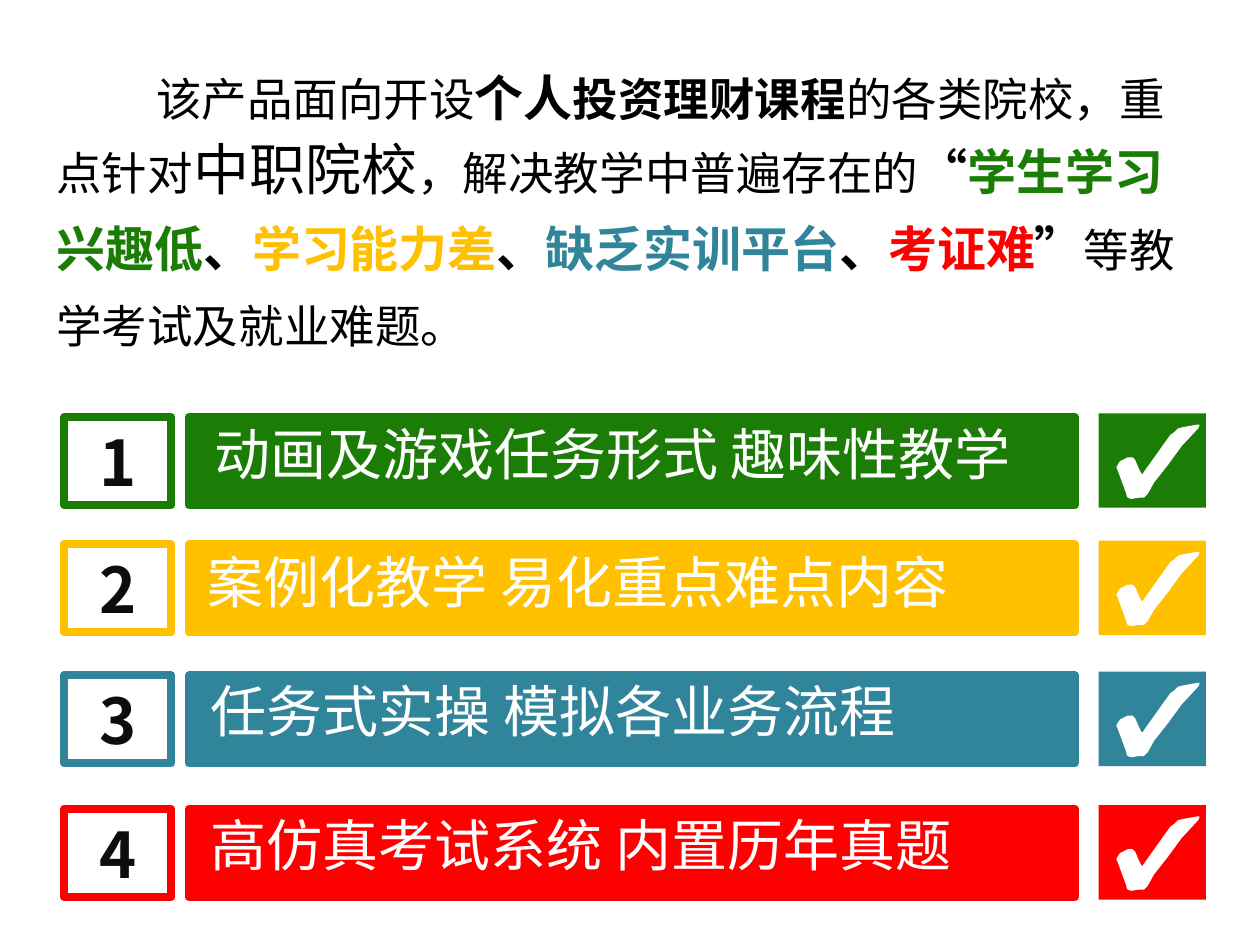
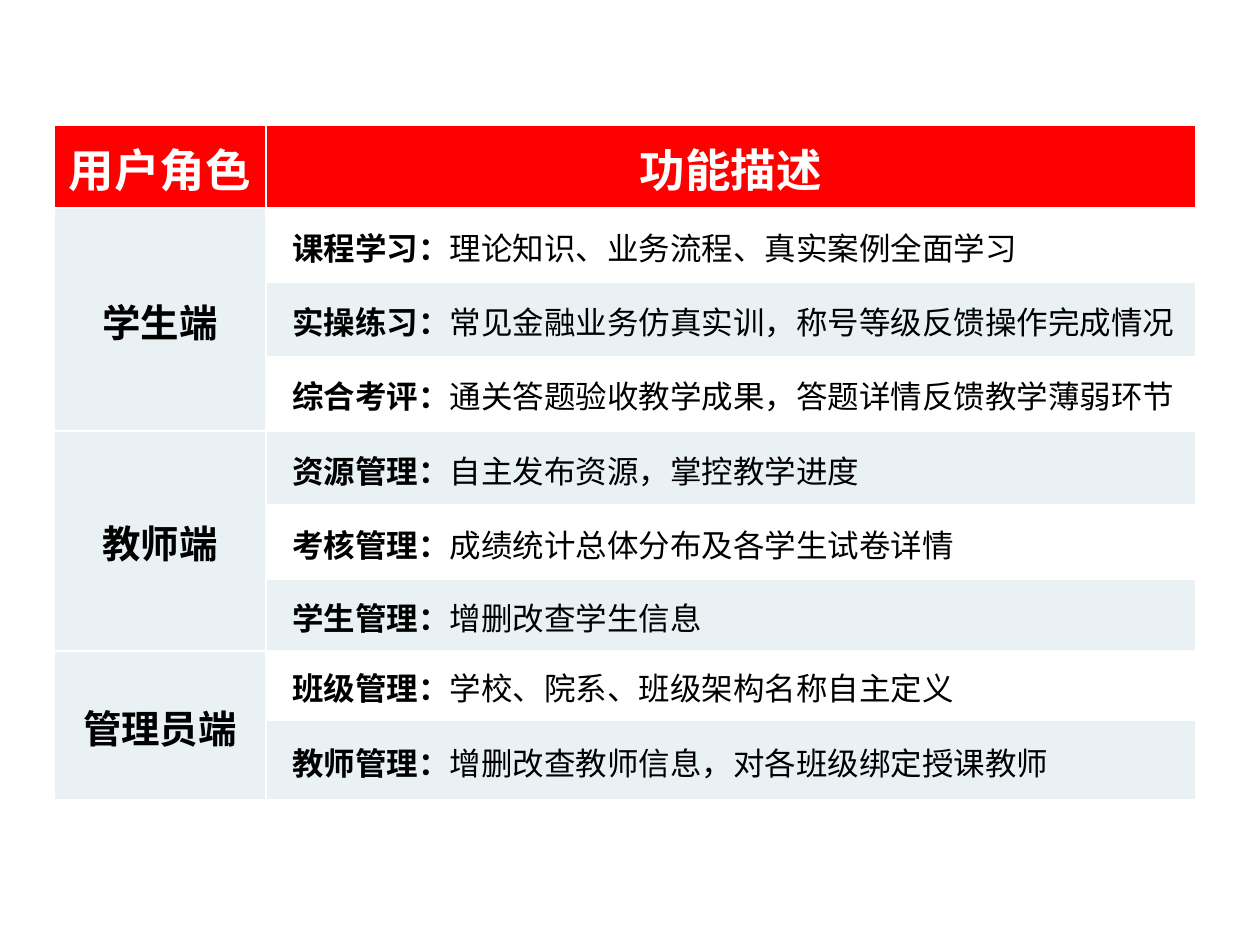
from lxml import etree
from pptx import Presentation
from pptx.dml.color import RGBColor
from pptx.enum import shapes, text
from pptx.oxml import ns
from pptx.util import Inches, Pt

COLORS = {
    "green": "1C7D06", "amber": "FFC000", "teal": "31859B", "red": "FF0000",
    "black": "000000", "ink": "0D0D0D", "white": "FFFFFF", "pale": "E9F1F5",
}
LATIN, SANS, SANS_JP = "Calibri", "Noto Sans CJK SC", "Noto Sans CJK JP"

INTRO = [
    ("该产品面向开设", 26, "black", False, LATIN),
    ("个人", 28, "black", True, SANS),
    ("投资理财课程", 26, "black", True, SANS),
    ("的各类院校，重点针对", 26, "black", False, LATIN),
    ("中职院校", 32, "black", False, SANS_JP),
    ("，解决教学中普遍存在的", 26, "black", False, LATIN),
    ("“", 28, "black", True, LATIN),
    ("学生学习兴趣低", 28, "green", True, SANS),
    ("、", 28, "black", True, SANS),
    ("学习能力差", 28, "amber", True, SANS),
    ("、", 28, "black", True, SANS),
    ("缺乏实训平台", 28, "teal", True, SANS),
    ("、", 28, "black", True, SANS),
    ("考证难", 28, "red", True, SANS),
    ("”", 28, "black", True, LATIN),
    ("等教学考试及就业难题。", 26, "black", False, LATIN),
]
FEATURES = [
    ("动画及游戏任务形式 趣味性教学", "green", 3.28, 1.5, 3.28),
    ("案例化教学 易化重点难点内容", "amber", 4.29, 1.45, 4.3),
    ("任务式实操 模拟各业务流程", "teal", 5.33, 1.47, 5.32),
    ("高仿真考试系统 内置历年真题", "red", 6.39, 1.47, 6.38),
]
CHECK_POINTS = [
    (1, 36), (0, 34), (1, 32), (3, 29), (9, 26), (13, 26), (15, 28), (18, 35),
    (20, 39), (21, 39), (23, 36), (43, 8), (46, 6), (49, 3), (53, 2), (64, 0),
    (66, 0), (66, 1), (65, 3), (52, 17), (41, 32), (30, 46), (25, 55), (24, 56),
    (22, 58), (18, 58), (12, 59), (9, 58), (8, 56), (8, 55),
]
ROLES = [
    ("学生端", [
        ("课程学习：", "理论知识、业务流程、真实案例全面学习"),
        ("实操练习：", "常见金融业务仿真实训，称号等级反馈操作完成情况"),
        ("综合考评：", "通关答题验收教学成果，答题详情反馈教学薄弱环节"),
    ]),
    ("教师端", [
        ("资源管理：", "自主发布资源，掌控教学进度"),
        ("考核管理：", "成绩统计总体分布及各学生试卷详情"),
        ("学生管理：", "增删改查学生信息"),
    ]),
    ("管理员端", [
        ("班级管理：", "学校、院系、班级架构名称自主定义"),
        ("教师管理：", "增删改查教师信息，对各班级绑定授课教师"),
    ]),
]
COLUMN_WIDTHS = [1.68, 7.38]
ROW_HEIGHTS = [0.66, 0.59, 0.59, 0.59, 0.59, 0.59, 0.57, 0.55, 0.63]


def color(name):
    return RGBColor.from_string(COLORS[name])


def add_span(para, words, size, ink, bold=False, font=LATIN):
    span = para.add_run()
    span.text = words
    span.font.size = Pt(size)
    span.font.bold = bold
    span.font.color.rgb = color(ink)
    span.font.name = font
    east_asian = etree.SubElement(span._r.get_or_add_rPr(), ns.qn("a:ea"))
    east_asian.set("typeface", SANS if font == LATIN else font)


def paint(shape, fill=None, line=None):
    shape.shadow.inherit = False
    if fill:
        shape.fill.solid()
        shape.fill.fore_color.rgb = color(fill)
    else:
        shape.fill.background()
    if line:
        shape.line.color.rgb = color(line)
        shape.line.width = Pt(4.5)
    else:
        shape.line.fill.background()


def add_rectangle(page, left, top, width, height, fill=None, line=None):
    box = page.shapes.add_shape(shapes.MSO_SHAPE.RECTANGLE, Inches(left),
                                Inches(top), Inches(width), Inches(height))
    paint(box, fill, line)
    return box


def add_text(page, left, top, width, height):
    box = page.shapes.add_textbox(Inches(left), Inches(top), Inches(width), Inches(height))
    box.text_frame.word_wrap = True
    return box.text_frame


def add_intro(page, left, top, width, height):
    para = add_text(page, left, top, width, height).paragraphs[0]
    para.line_spacing = Pt(43)
    para._p.get_or_add_pPr().set("indent", str(Inches(0.79)))
    for span in INTRO:
        add_span(para, *span)


def add_check(page, left, top):
    unit = Inches(0.01)
    outline = page.shapes.build_freeform(*CHECK_POINTS[0], scale=unit)
    outline.add_line_segments(CHECK_POINTS[1:], close=True)
    paint(outline.convert_to_shape(Inches(left), Inches(top)), "white")


def add_feature(page, number, label, hue, top, label_left, label_top):
    add_rectangle(page, 1.5, top + 0.03, 7.03, 0.7, hue, hue)

    badge = add_rectangle(page, 0.51, top + 0.03, 0.85, 0.7, line=hue).text_frame
    badge.word_wrap = False
    badge.vertical_anchor = text.MSO_ANCHOR.MIDDLE
    badge.paragraphs[0].alignment = text.PP_ALIGN.CENTER
    add_span(badge.paragraphs[0], str(number), 36, "ink", True, SANS)

    add_rectangle(page, 8.72, top, 0.85, 0.75, hue)
    frame = add_text(page, label_left, label_top, 7.07, 0.64)
    frame.margin_left = Inches(0.2)
    add_span(frame.paragraphs[0], label, 32, "white", False, SANS)
    add_check(page, 8.86, top + 0.09)


def format_cell(cell, fill):
    properties = cell._tc.get_or_add_tcPr()
    for side in ("lnL", "lnR", "lnT", "lnB"):
        border = etree.SubElement(properties, ns.qn("a:" + side), w=str(Pt(1)))
        solid = etree.SubElement(border, ns.qn("a:solidFill"))
        etree.SubElement(solid, ns.qn("a:srgbClr"), val=COLORS["white"])
    cell.fill.solid()
    cell.fill.fore_color.rgb = color(fill)
    cell.vertical_anchor = text.MSO_ANCHOR.MIDDLE
    cell.margin_left = cell.margin_right = cell.margin_top = Inches(0.02)
    cell.margin_bottom = 0


def add_heading(cell, words, size, ink):
    para = cell.text_frame.paragraphs[0]
    para.alignment = text.PP_ALIGN.CENTER
    add_span(para, words, size, ink, True)


def add_role_table(page, left, top):
    table = page.shapes.add_table(
        len(ROW_HEIGHTS), len(COLUMN_WIDTHS), Inches(left), Inches(top),
        Inches(sum(COLUMN_WIDTHS)), Inches(sum(ROW_HEIGHTS))).table
    for column, width in zip(table.columns, COLUMN_WIDTHS):
        column.width = Inches(width)
    for index, height in enumerate(ROW_HEIGHTS):
        table.rows[index].height = Inches(height)
        role_fill = "pale" if index else "red"
        feature_fill = "white" if index % 2 else role_fill
        format_cell(table.cell(index, 0), role_fill)
        format_cell(table.cell(index, 1), feature_fill)

    for column, words in enumerate(("用户角色", "功能描述")):
        add_heading(table.cell(0, column), words, 26, "white")
    row = 1
    for role, functions in ROLES:
        role_cell = table.cell(row, 0)
        role_cell.merge(table.cell(row + len(functions) - 1, 0))
        add_heading(role_cell, role, 22, "black")
        for name, description in functions:
            para = table.cell(row, 1).text_frame.paragraphs[0]
            para._p.get_or_add_pPr().set("marL", str(Inches(0.19)))
            add_span(para, name, 18, "black", True)
            add_span(para, description, 18, "black")
            row += 1


def main():
    deck = Presentation()
    deck.slide_width, deck.slide_height = Inches(10), Inches(7.5)
    blank = deck.slide_layouts[6]

    page = deck.slides.add_slide(blank)
    add_intro(page, 0.35, 0.36, 9.27, 2.51)
    for number, feature in enumerate(FEATURES, 1):
        add_feature(page, number, *feature)

    add_role_table(deck.slides.add_slide(blank), 0.43, 0.99)
    deck.save("out.pptx")


if __name__ == "__main__":
    main()
